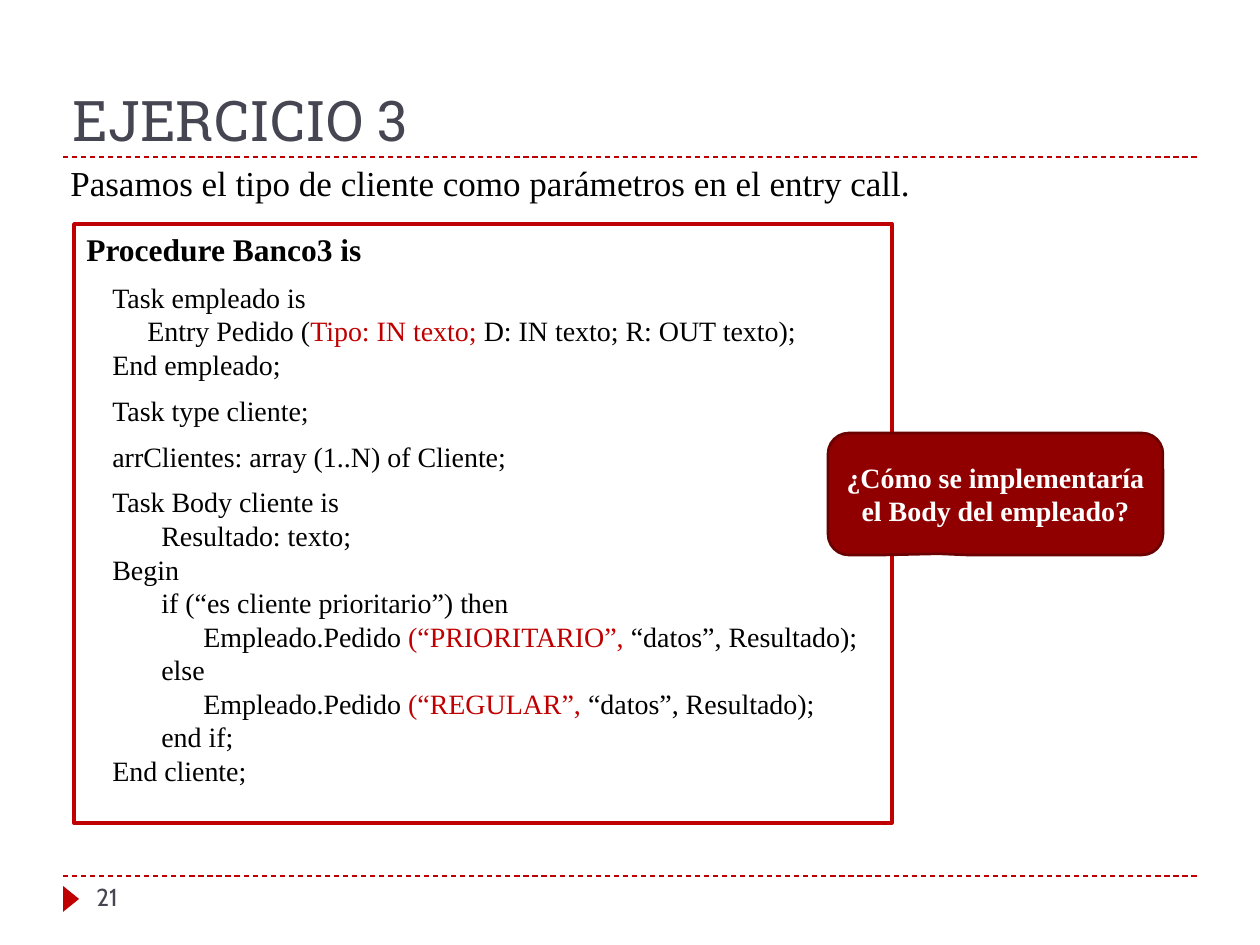
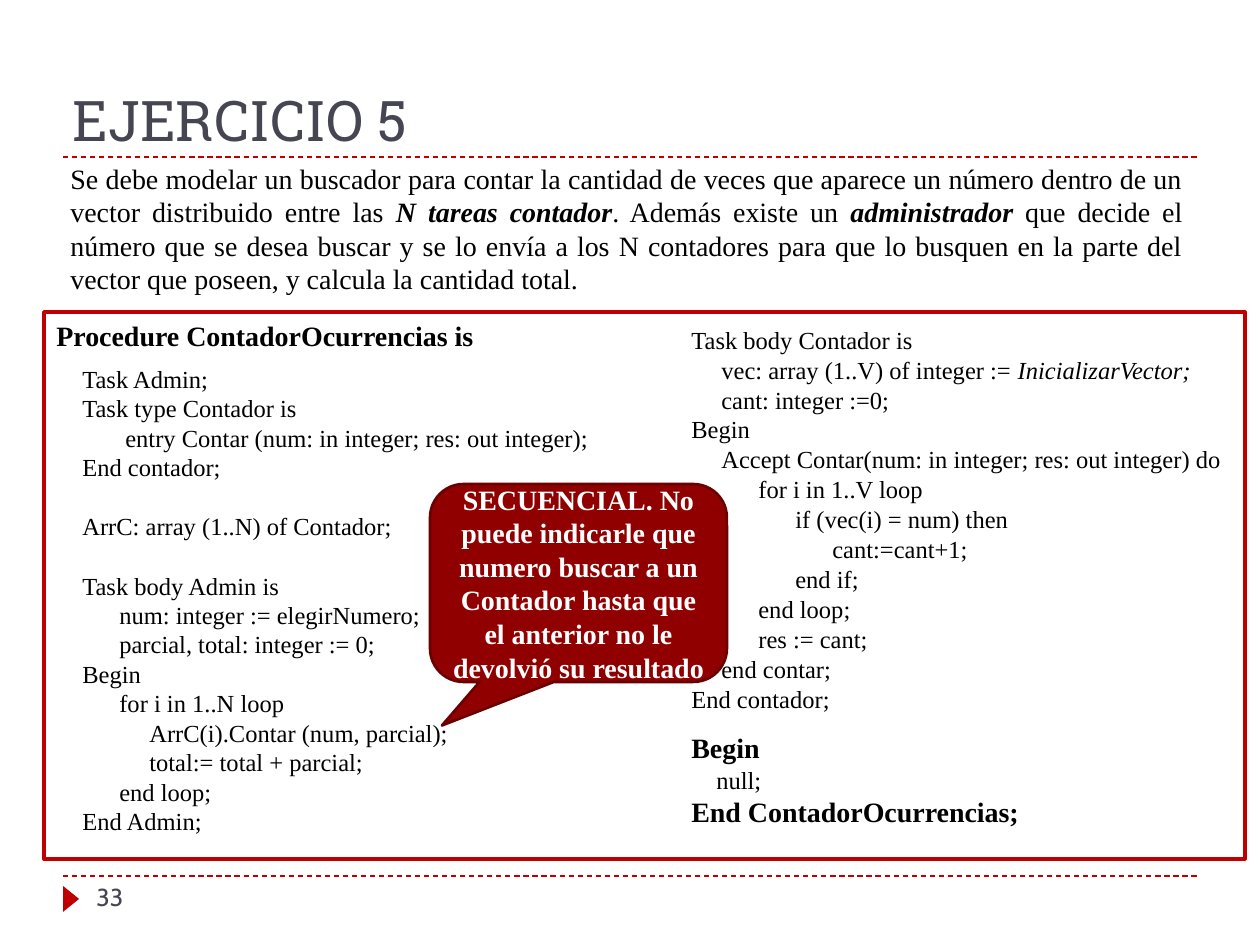
from lxml import etree
from pptx import Presentation
from pptx.dml.color import RGBColor
from pptx.enum.dml import MSO_LINE
from pptx.enum.shapes import MSO_CONNECTOR, MSO_SHAPE
from pptx.enum.text import MSO_ANCHOR, MSO_AUTO_SIZE, PP_ALIGN
from pptx.oxml.ns import qn
from pptx.util import Pt

PIXEL = 914400 // 126
TITLE_ONLY = 5
DASH = MSO_LINE.DASH
STRAIGHT = MSO_CONNECTOR.STRAIGHT
RECTANGLE = MSO_SHAPE.RECTANGLE
TRIANGLE = MSO_SHAPE.ISOSCELES_TRIANGLE
CALLOUT = MSO_SHAPE.ROUNDED_RECTANGULAR_CALLOUT
TOP, MIDDLE, BOTTOM = MSO_ANCHOR.TOP, MSO_ANCHOR.MIDDLE, MSO_ANCHOR.BOTTOM
LEFT, CENTER, JUSTIFY = PP_ALIGN.LEFT, PP_ALIGN.CENTER, PP_ALIGN.JUSTIFY
NO_AUTOFIT = MSO_AUTO_SIZE.NONE

COLORS = {
    "accent": "C00000",
    "callout": "900000",
    "callout_line": "6B0000",
    "heading": "464653",
    "text": "000000",
    "white": "FFFFFF",
}
TITLE_FONT, NUMBER_FONT, BODY_FONT = "Roboto Slab", "Cabin", "Times New Roman"

# Code lines are (indent in pixels, space before in points, text or runs).
# A run is plain text or a (text, style) pair.
BANK_CODE = [
    (0, 0, [("Procedure Banco3 is", "bold")]),
    (26, 7, "Task empleado is"),
    (61, 0, ["Entry Pedido (", ("Tipo: IN texto; ", "accent"),
             "D: IN texto; R: OUT texto);"]),
    (26, 0, "End empleado;"),
    (26, 7, "Task type cliente;"),
    (26, 7, "arrClientes: array (1..N) of Cliente;"),
    (26, 7, "Task Body cliente is"),
    (75, 0, "Resultado: texto;"),
    (26, 0, "Begin"),
    (75, 0, "if (“es cliente prioritario”) then"),
    (117, 0, ["Empleado.Pedido ", ("(“PRIORITARIO”, ", "accent"),
              "“datos”, Resultado);"]),
    (75, 0, "else"),
    (117, 0, ["Empleado.Pedido ", ("(“REGULAR”, ", "accent"),
              "“datos”, Resultado);"]),
    (75, 0, "end if;"),
    (26, 0, "End cliente;"),
]
ADMIN_CODE = [
    (0, 0, [("Procedure ContadorOcurrencias is", "bold")]),
    (26, 7, "Task Admin;"),
    (26, 0, "Task type Contador is"),
    (69, 0, "entry Contar (num: in integer; res: out integer);"),
    (26, 0, "End contador;"),
    (26, 17, "ArrC: array (1..N) of Contador;"),
    (26, 17, "Task body Admin is"),
    (63, 0, "num: integer := elegirNumero;"),
    (63, 0, "parcial, total: integer := 0;"),
    (26, 0, "Begin"),
    (63, 0, "for i in 1..N loop"),
    (93, 0, "ArrC(i).Contar (num, parcial);"),
    (93, 0, "total:= total + parcial;"),
    (63, 0, "end loop;"),
    (26, 0, "End Admin;"),
]
COUNTER_CODE = [
    (0, 2.8, "Task body Contador is"),
    (30, 2.8, ["vec: array (1..V) of integer := ", ("InicializarVector;", "italic")]),
    (30, 2.8, "cant: integer :=0;"),
    (0, 2.8, "Begin"),
    (30, 2.8, "Accept Contar(num: in integer; res: out integer) do"),
    (67, 2.8, "for i in 1..V loop"),
    (104, 2.8, "if (vec(i) = num) then"),
    (141, 2.8, "cant:=cant+1;"),
    (104, 2.8, "end if;"),
    (67, 2.8, "end loop;"),
    (67, 2.8, "res := cant;"),
    (30, 2.8, "end contar;"),
    (0, 2.8, "End contador;"),
    (0, 13, [("Begin", "bold")]),
    (25, 2.8, "null;"),
    (0, 3.2, [("End ContadorOcurrencias;", "bold")]),
]
COUNTER_STATEMENT = [
    "Se debe modelar un buscador para contar la cantidad de veces que aparece "
    "un número dentro de un vector distribuido entre las ",
    ("N tareas contador", "bold italic"),
    ". Además existe un ",
    ("administrador", "bold italic"),
    " que decide el número que se desea buscar y se lo envía a los N contadores "
    "para que lo busquen en la parte del vector que poseen, y calcula la "
    "cantidad total.",
]


def color(name):
    return RGBColor.from_string(COLORS[name])


def box(left, top, width, height):
    return [value * PIXEL for value in (left, top, width, height)]


def format_font(font, name, size, color_name, style=""):
    font.name = name
    font.size = Pt(size)
    font.color.rgb = color("accent" if "accent" in style else color_name)
    font.bold = "bold" in style
    font.italic = "italic" in style


def fill_paragraph(paragraph, runs, size, heading_size=None, font=BODY_FONT,
                   color_name="text", alignment=LEFT):
    """Write the runs; wholly bold lines may take a heading size."""
    paragraph.alignment = alignment
    for item in [runs] if isinstance(runs, str) else runs:
        text, style = (item, "") if isinstance(item, str) else item
        run = paragraph.add_run()
        run.text = text
        run_size = heading_size if heading_size and style == "bold" else size
        format_font(run.font, font, run_size, color_name, style)


def prepare_frame(shape, anchor):
    frame = shape.text_frame
    frame.word_wrap = True
    frame.auto_size = NO_AUTOFIT
    frame.vertical_anchor = anchor
    return frame


def add_text(slide, position, runs, size, **options):
    shape = slide.shapes.add_textbox(*box(*position))
    frame = prepare_frame(shape, TOP)
    fill_paragraph(frame.paragraphs[0], runs, size, **options)


def write_code(shape, lines, size, heading_size, line_spacing=None):
    frame = prepare_frame(shape, TOP)
    for index, (indent, space, runs) in enumerate(lines):
        paragraph = frame.add_paragraph() if index else frame.paragraphs[0]
        fill_paragraph(paragraph, runs, size, heading_size)
        paragraph.space_before = Pt(space)
        if line_spacing:
            paragraph.line_spacing = line_spacing
        properties = paragraph._p.get_or_add_pPr()
        properties.set("marL", str(indent * PIXEL))
        properties.set("indent", "0")


def add_code_box(slide, position, lines, size, heading_size):
    shape = slide.shapes.add_shape(RECTANGLE, *box(*position))
    shape.shadow.inherit = False
    shape.fill.background()
    shape.line.color.rgb = color("accent")
    shape.line.width = Pt(2)
    write_code(shape, lines, size, heading_size)


def add_callout(slide, position, adjustments, text):
    shape = slide.shapes.add_shape(CALLOUT, *box(*position))
    shape.shadow.inherit = False
    for index, value in enumerate(adjustments):
        shape.adjustments[index] = value
    shape.fill.solid()
    shape.fill.fore_color.rgb = color("callout")
    shape.line.color.rgb = color("callout_line")
    shape.line.width = Pt(1.5)
    frame = prepare_frame(shape, MIDDLE)
    fill_paragraph(frame.paragraphs[0], [(text, "bold")], 16,
                   color_name="white", alignment=CENTER)


def add_rule(slide, top):
    left, right = 63 * PIXEL, 1197 * PIXEL
    line = slide.shapes.add_connector(STRAIGHT, left, top * PIXEL, right, top * PIXEL)
    line.line.color.rgb = color("accent")
    line.line.width = Pt(0.75)
    line.line.dash_style = DASH
    etree.SubElement(line._element.spPr, qn("a:effectLst"))


def add_base_slide(presentation, title_text, number):
    """Title, dashed rules, footer marker and slide number."""
    slide = presentation.slides.add_slide(presentation.slide_layouts[TITLE_ONLY])
    title = slide.shapes.title
    title.left, title.top, title.width, title.height = box(60, 23, 1134, 136)
    frame = prepare_frame(title, BOTTOM)
    fill_paragraph(frame.paragraphs[0], title_text, 32, font=TITLE_FONT,
                   color_name="heading")
    for top in (157, 876):
        add_rule(slide, top)
    marker = slide.shapes.add_shape(TRIANGLE, *box(58, 891, 26, 16))
    marker.rotation = 90
    marker.shadow.inherit = False
    marker.fill.solid()
    marker.fill.fore_color.rgb = color("accent")
    marker.line.fill.background()
    add_text(slide, (84, 876, 273, 50), number, 14, font=NUMBER_FONT,
             color_name="heading")
    return slide


def build_bank_slide(presentation):
    slide = add_base_slide(presentation, "EJERCICIO 3", "21")
    add_code_box(slide, (74, 224, 818, 599), BANK_CODE, 16, 18)
    add_text(slide, (58, 155, 1137, 55),
             "Pasamos el tipo de cliente como parámetros en el entry call.",
             20, alignment=JUSTIFY)
    add_callout(slide, (828, 433, 335, 122), (-0.17, 0.49, 0.17),
                "¿Cómo se implementaría el Body del empleado?")


def build_counter_slide(presentation):
    slide = add_base_slide(presentation, "EJERCICIO 5", "33")
    add_text(slide, (58, 155, 1137, 149), COUNTER_STATEMENT, 16, alignment=JUSTIFY)
    add_code_box(slide, (44, 312, 1201, 547), ADMIN_CODE, 14, 16)
    counter = slide.shapes.add_textbox(*box(679, 323, 557, 535))
    write_code(counter, COUNTER_CODE, 14, 16, line_spacing=0.85)
    add_callout(slide, (430, 484, 297, 198), (-0.46, 0.72, 0.17),
                "SECUENCIAL. No puede indicarle que numero buscar a un Contador "
                "hasta que el anterior no le devolvió su resultado")


def main():
    presentation = Presentation()
    presentation.slide_width = 1260 * PIXEL
    presentation.slide_height = 945 * PIXEL
    build_bank_slide(presentation)
    build_counter_slide(presentation)
    presentation.save("out.pptx")


main()
